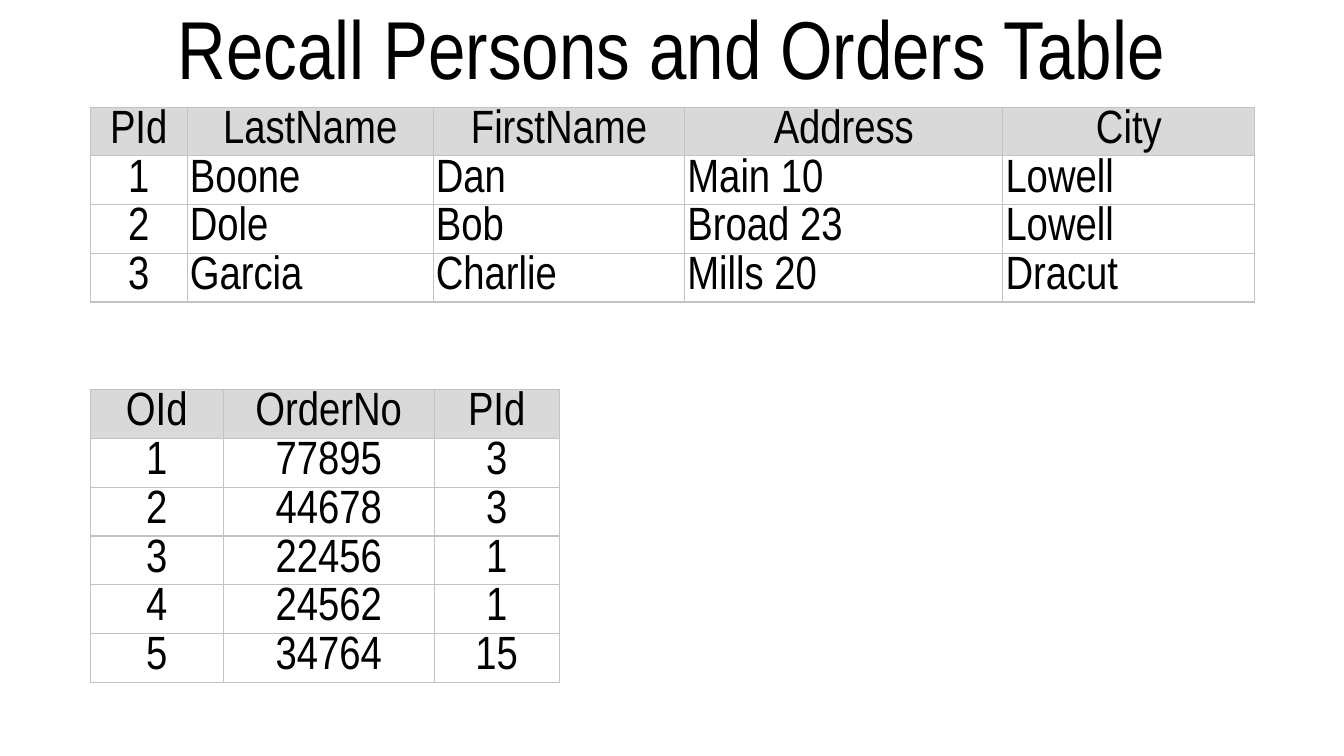
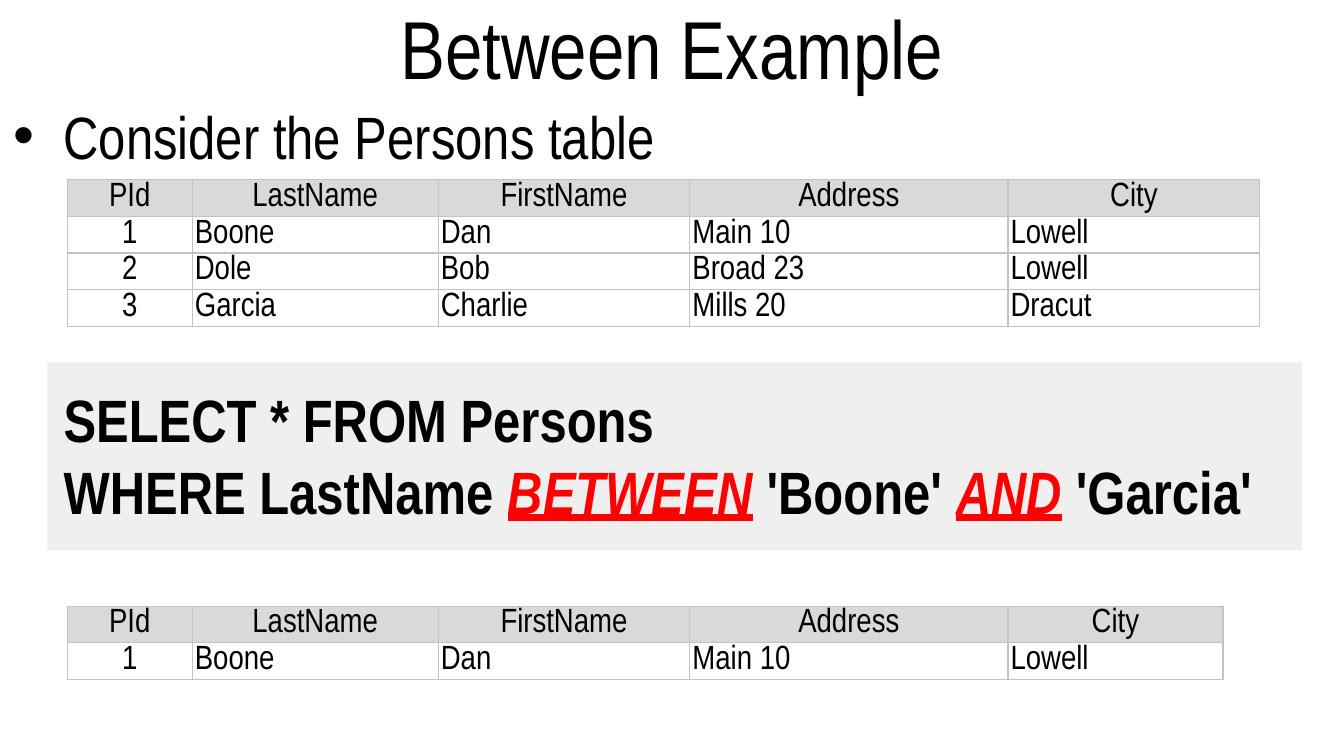
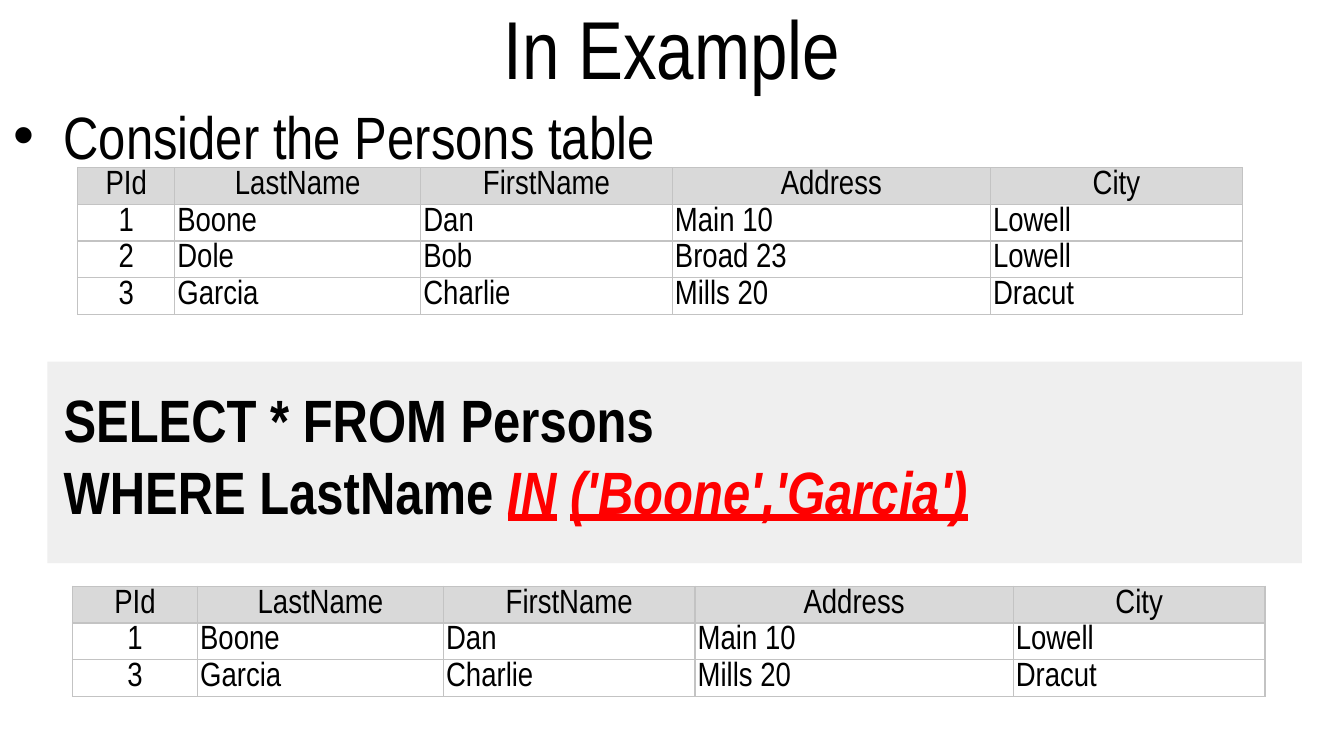
from dataclasses import dataclass

from lxml.etree import SubElement
from pptx import Presentation
from pptx.dml.color import RGBColor as Color
from pptx.enum.shapes import MSO_SHAPE as Shape
from pptx.enum.text import MSO_ANCHOR as Anchor, PP_ALIGN as Align
from pptx.oxml.ns import qn
from pptx.util import Pt


@dataclass(frozen=True)
class Theme:
    font: str = "Arial Narrow"
    ink: str = "000000"
    keyword: str = "FF0000"
    band: str = "EFEFEF"
    header: str = "D9D9D9"
    cell: str = "FFFFFF"
    border: str = "C3C3C3"
    title_size: float = 44
    body_size: float = 32
    large_table_size: float = 25
    small_table_size: float = 18
    text_leading: float = 1.2
    table_leading: float = 0.93
    cell_margin: float = 1.44
    hanging: float = 27


THEME = Theme()
WIDTH, HEIGHT = 720, 405
TITLE_HEIGHT = 49.7

# Table contents
PERSON_HEADER = ["PId", "LastName", "FirstName", "Address", "City"]
BOONE = ["1", "Boone", "Dan", "Main 10", "Lowell"]
DOLE = ["2", "Dole", "Bob", "Broad 23", "Lowell"]
GARCIA = ["3", "Garcia", "Charlie", "Mills 20", "Dracut"]
PERSONS = [PERSON_HEADER, BOONE, DOLE, GARCIA]
ORDERS = [
    ["OId", "OrderNo", "PId"],
    ["1", "77895", "3"],
    ["2", "44678", "3"],
    ["3", "22456", "1"],
    ["4", "24562", "1"],
    ["5", "34764", "15"],
]

# Column widths
PERSON_WIDTHS = [131.8, 134.8, 170.4, 135]
NARROW_ID, WIDE_ID = 52, 67
ORDER_WIDTHS = [71.3, 113, 67]

# Run formats
PLAIN = {"bold": False}
CODE = {"bold": True}
KEYWORD = {"bold": True, "italic": True, "underline": True}
KEYWORD_GAP = {"bold": True, "italic": True}


def set_values(target, values):
    for name, value in values.items():
        setattr(target, name, value)


def format_paragraph(paragraph, size, leading, **values):
    set_values(paragraph, {"line_spacing": Pt(size * leading),
                           "space_before": Pt(0), "space_after": Pt(0), **values})


def add_run(paragraph, text, size, values=PLAIN, color=THEME.ink):
    run = paragraph.add_run()
    run.text = text
    set_values(run.font, {"name": THEME.font, "size": Pt(size), **values})
    run.font.color.rgb = Color.from_string(color)


def add_text_frame(slide, top, height, anchor):
    frame = slide.shapes.add_textbox(Pt(0), Pt(top), Pt(WIDTH), Pt(height)).text_frame
    set_values(frame, {"word_wrap": True, "vertical_anchor": anchor,
                       "margin_left": Pt(7.2), "margin_right": Pt(7.2),
                       "margin_top": Pt(3.6), "margin_bottom": Pt(3.6)})
    return frame


def add_title(slide, text):
    paragraph = add_text_frame(slide, 0, TITLE_HEIGHT, Anchor.MIDDLE).paragraphs[0]
    format_paragraph(paragraph, THEME.title_size, THEME.text_leading,
                     alignment=Align.CENTER)
    add_run(paragraph, text, THEME.title_size)


def set_indent(paragraph, first_line):
    properties = paragraph._p.get_or_add_pPr()
    properties.set("marL", str(Pt(THEME.hanging)))
    properties.set("indent", str(Pt(first_line)))
    return properties


def add_bullet(paragraph):
    properties = set_indent(paragraph, -THEME.hanging)
    color = SubElement(properties, qn("a:buClr"))
    SubElement(color, qn("a:srgbClr"), val=THEME.ink)
    SubElement(properties, qn("a:buFont"), typeface="Arial")
    SubElement(properties, qn("a:buChar"), char="•")


def add_body(slide, statement, query):
    """Write a bulleted statement with a two-line query below it."""
    frame = add_text_frame(slide, TITLE_HEIGHT, HEIGHT - TITLE_HEIGHT, Anchor.TOP)
    bullet = frame.paragraphs[0]
    add_bullet(bullet)
    format_paragraph(bullet, THEME.body_size, THEME.text_leading)
    add_run(bullet, statement, THEME.body_size)

    code = frame.add_paragraph()
    set_indent(code, 0)
    format_paragraph(code, THEME.body_size, THEME.text_leading, space_before=Pt(113.4))
    add_run(code, "SELECT * FROM Persons", THEME.body_size, CODE)
    code.add_line_break()
    add_run(code, "WHERE LastName ", THEME.body_size, CODE)
    for text, values in query:
        color = THEME.ink if values is CODE else THEME.keyword
        add_run(code, text, THEME.body_size, values, color)


def add_band(slide, top, height):
    band = slide.shapes.add_shape(Shape.RECTANGLE, Pt(25.4), Pt(top), Pt(672), Pt(height))
    band.shadow.inherit = False
    band.fill.solid()
    band.fill.fore_color.rgb = Color.from_string(THEME.band)
    band.line.fill.background()


def style_cell(cell, fill):
    properties = cell._tc.get_or_add_tcPr()
    for side in ("a:lnL", "a:lnR", "a:lnT", "a:lnB"):
        line = SubElement(properties, qn(side), w=str(Pt(0.75)))
        solid = SubElement(line, qn("a:solidFill"))
        SubElement(solid, qn("a:srgbClr"), val=THEME.border)
    cell.fill.solid()
    cell.fill.fore_color.rgb = Color.from_string(fill)
    margins = ("margin_left", "margin_right", "margin_top", "margin_bottom")
    set_values(cell, dict.fromkeys(margins, Pt(THEME.cell_margin)))


def add_data_table(slide, left, top, widths, rows, size, centred_columns=1):
    row_height = size * THEME.table_leading + 2 * THEME.cell_margin
    table = slide.shapes.add_table(
        len(rows), len(widths), Pt(left), Pt(top),
        Pt(sum(widths)), Pt(row_height * len(rows))).table
    set_values(table, {"first_row": False, "horz_banding": False})
    for column, width in zip(table.columns, widths):
        column.width = Pt(width)
    for row_index, values in enumerate(rows):
        table.rows[row_index].height = Pt(row_height)
        for column_index, text in enumerate(values):
            cell = table.cell(row_index, column_index)
            is_header = row_index == 0
            style_cell(cell, THEME.header if is_header else THEME.cell)
            centred = is_header or column_index < centred_columns
            paragraph = cell.text_frame.paragraphs[0]
            format_paragraph(paragraph, size, THEME.table_leading,
                             alignment=Align.CENTER if centred else Align.LEFT)
            add_run(paragraph, text, size)


def add_slide(presentation, title):
    slide = presentation.slides.add_slide(presentation.slide_layouts[6])
    add_title(slide, title)
    return slide


def add_query_slide(presentation, title, band, query, tables):
    slide = add_slide(presentation, title)
    add_band(slide, *band)
    add_body(slide, "Consider the Persons table", query)
    for left, top, widths, rows in tables:
        add_data_table(slide, left, top, widths, rows, THEME.small_table_size)


def main():
    presentation = Presentation()
    set_values(presentation, {"slide_width": Pt(WIDTH), "slide_height": Pt(HEIGHT)})

    # Both source tables
    slide = add_slide(presentation, "Recall Persons and Orders Table")
    add_data_table(slide, 48.3, 57.4, [NARROW_ID, *PERSON_WIDTHS], PERSONS,
                   THEME.large_table_size)
    add_data_table(slide, 48.3, 208.8, ORDER_WIDTHS, ORDERS,
                   THEME.large_table_size, centred_columns=3)

    # Range query
    add_query_slide(
        presentation, "Between Example", (194.2, 100.6),
        [("BETWEEN", KEYWORD), (" 'Boone' ", CODE), ("AND", KEYWORD), (" 'Garcia'", CODE)],
        [(36, 96.3, [WIDE_ID, *PERSON_WIDTHS], PERSONS),
         (36, 324.8, [WIDE_ID, *PERSON_WIDTHS[:3], 115.2], [PERSON_HEADER, BOONE])])

    # Membership query
    add_query_slide(
        presentation, "In Example", (193.8, 108),
        [("IN", KEYWORD), (" ", KEYWORD_GAP), ("('Boone','Garcia')", KEYWORD)],
        [(41.6, 89.9, [NARROW_ID, *PERSON_WIDTHS], PERSONS),
         (38.8, 314.1, [WIDE_ID, *PERSON_WIDTHS], [PERSON_HEADER, BOONE, GARCIA])])

    presentation.save("out.pptx")


if __name__ == "__main__":
    main()
